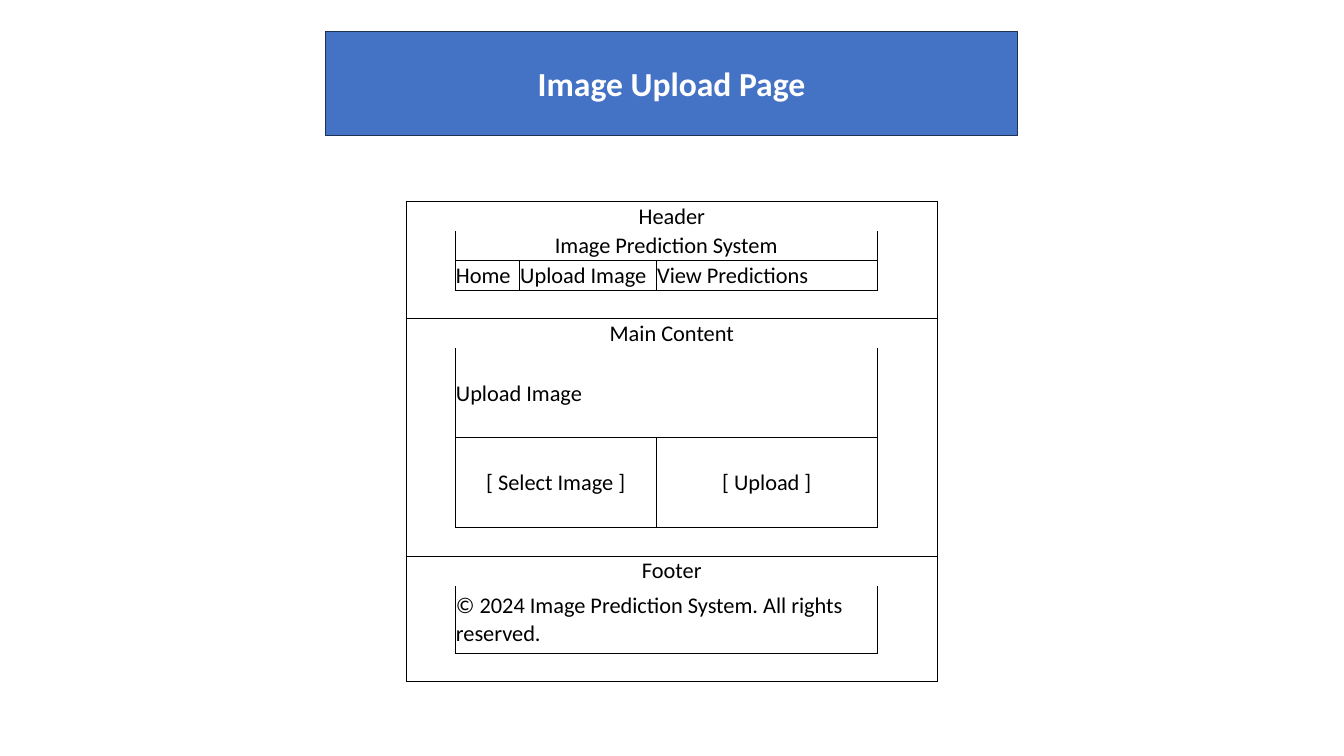
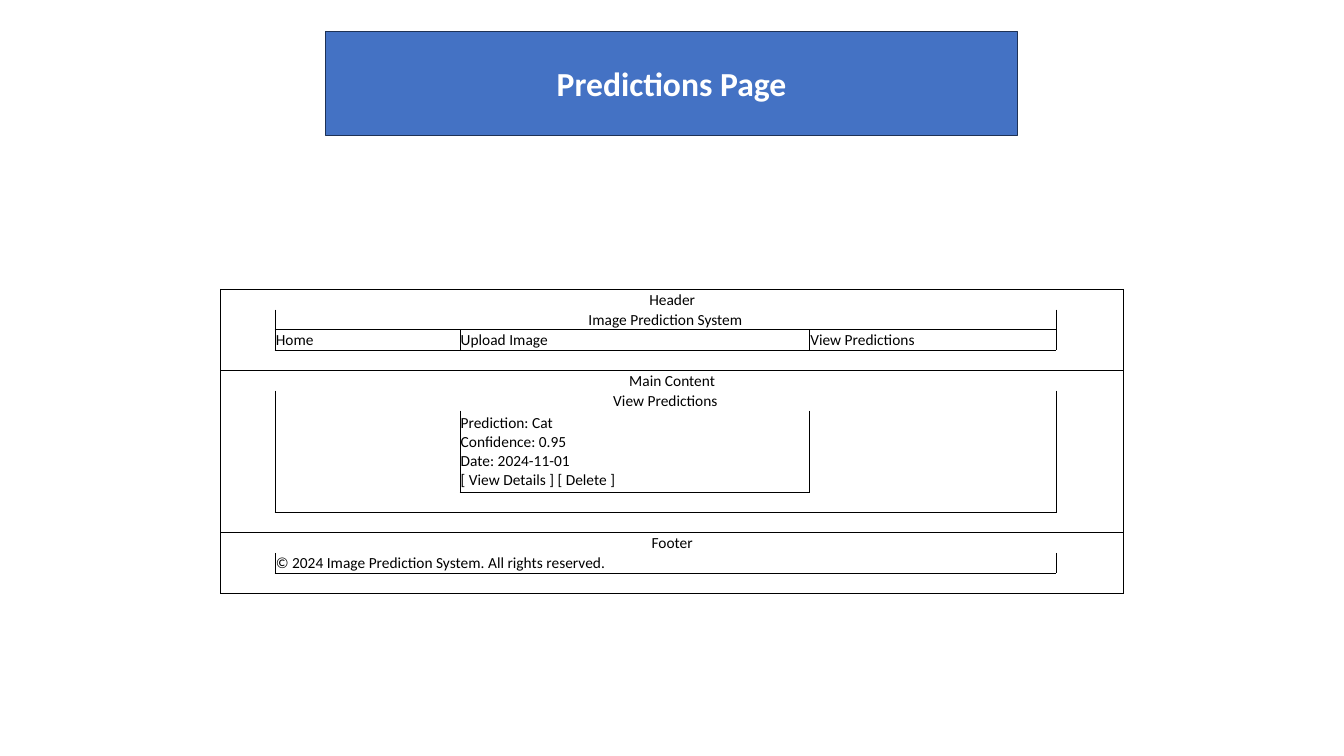
"""Build two wireframe slides: the image upload page and the predictions page."""
import pptx
import pptx.dml.color
import pptx.enum.shapes
import pptx.enum.text
import pptx.oxml
import pptx.oxml.ns
import pptx.util
from lxml import etree

Cm, Pt = pptx.util.Cm, pptx.util.Pt
RGBColor = pptx.dml.color.RGBColor
LEFT = pptx.enum.text.PP_ALIGN.LEFT
CENTER = pptx.enum.text.PP_ALIGN.CENTER
MIDDLE = pptx.enum.text.MSO_ANCHOR.MIDDLE

BLUE = RGBColor(0x44, 0x72, 0xC4)
NAVY = RGBColor(0x1E, 0x32, 0x56)
WHITE = RGBColor(0xFF, 0xFF, 0xFF)
BLACK = RGBColor(0x00, 0x00, 0x00)
FONT = "Calibri"

# Cells are (row, first column, last column, rows framed, alignment, text).
HEADER = [
    (0, 0, 4, 4, CENTER, "Header"),
    (1, 1, 3, 1, CENTER, "Image Prediction System"),
    (2, 1, 1, 1, LEFT, "Home"),
    (2, 2, 2, 1, LEFT, "Upload Image"),
    (2, 3, 3, 1, LEFT, "View Predictions"),
]
COPYRIGHT = "© 2024 Image Prediction System. All rights reserved."

PAGES = [
    {
        "title": "Image Upload Page",
        "corner": (10.23, 5.07),
        "size": 16,
        "widths": [1.24, 1.62, 3.45, 5.57, 1.52],
        "heights": [0.75, 0.75, 0.75, 0.71, 0.75, 2.25, 2.25, 0.73, 0.75, 1.7, 0.71],
        "main": [
            (4, 0, 4, 4, CENTER, "Main Content"),
            (5, 1, 3, 1, LEFT, "Upload Image"),
            (6, 1, 2, 1, CENTER, "[ Select Image ]"),
            (6, 3, 3, 1, CENTER, "[ Upload ]"),
        ],
    },
    {
        "title": "Predictions Page",
        "corner": (5.56, 7.29),
        "size": 11,
        "widths": [1.37, 4.66, 8.81, 6.21, 1.71],
        "heights": [0.51] * 6 + [2.05] + [0.51] * 5,
        "main": [
            (4, 0, 4, 5, CENTER, "Main Content"),
            (5, 1, 3, 3, CENTER, "View Predictions"),
            (6, 2, 2, 1, LEFT, "Prediction: Cat\nConfidence: 0.95\n"
                               "Date: 2024-11-01\n[ View Details ] [ Delete ]"),
        ],
    },
]


def style_text(text_frame, align, size, color, bold=False):
    """Format every paragraph and run of a text frame."""
    for paragraph in text_frame.paragraphs:
        paragraph.alignment = align
        for run in paragraph.runs:
            run.font.name, run.font.size = FONT, Pt(size)
            run.font.bold, run.font.color.rgb = bold, color


def add_banner(slide, title):
    """Add the blue title band."""
    banner = slide.shapes.add_shape(
        pptx.enum.shapes.MSO_SHAPE.RECTANGLE, Cm(8.2), Cm(0.79), Cm(17.45), Cm(2.62))
    banner.shadow.inherit = False
    banner.fill.solid()
    banner.fill.fore_color.rgb = BLUE
    banner.line.color.rgb = NAVY
    banner.line.width = Pt(1)
    banner.text_frame.text = title
    banner.text_frame.vertical_anchor = MIDDLE
    style_text(banner.text_frame, CENTER, 24, WHITE, True)


def frame_lines(cells):
    """Return the grid lines drawn around the framed cells."""
    lines = set()
    for row, first, last, depth, _, _ in cells:
        for column in range(first, last + 1):
            lines.add(("across", row + depth, column))
            if row == 0:
                lines.add(("across", row, column))
        for framed in range(row, row + depth):
            lines.update([("down", framed, first), ("down", framed, last + 1)])
    return lines


def set_border(cell, side, visible):
    """Draw or hide one side of a cell."""
    properties = cell._tc.get_or_add_tcPr()
    border = etree.SubElement(properties, pptx.oxml.ns.qn("a:ln" + side), w=str(Pt(0.5)))
    if visible:
        fill = etree.SubElement(border, pptx.oxml.ns.qn("a:solidFill"))
        etree.SubElement(fill, pptx.oxml.ns.qn("a:srgbClr"), val=str(BLACK))
    else:
        etree.SubElement(border, pptx.oxml.ns.qn("a:noFill"))


def add_wireframe(slide, page):
    """Add the page layout as a table with nested frames."""
    widths, heights, size = page["widths"], page["heights"], page["size"]
    footer = len(heights) - 3
    cells = HEADER + page["main"] + [
        (footer, 0, 4, 3, CENTER, "Footer"),
        (footer + 1, 1, 3, 1, LEFT, COPYRIGHT),
    ]
    left, top = page["corner"]
    table = slide.shapes.add_table(
        len(heights), len(widths), Cm(left), Cm(top),
        Cm(sum(widths)), Cm(sum(heights))).table
    table.first_row = table.horz_banding = False
    for column, width in zip(table.columns, widths):
        column.width = Cm(width)
    for row, height in zip(table.rows, heights):
        row.height = Cm(height)

    lines = frame_lines(cells)
    last_columns = {(row, first): last for row, first, last, *_ in cells}
    for row in range(len(heights)):
        for column in range(len(widths)):
            cell = table.cell(row, column)
            cell.margin_left = cell.margin_right = cell.margin_top = Cm(0.02)
            cell.margin_bottom = 0
            cell.vertical_anchor = MIDDLE
            right = last_columns.get((row, column), column) + 1
            for side, line in (
                ("L", ("down", row, column)),
                ("R", ("down", row, right)),
                ("T", ("across", row, column)),
                ("B", ("across", row + 1, column)),
            ):
                set_border(cell, side, line in lines)
            cell.fill.solid()
            cell.fill.fore_color.rgb = WHITE
            if (row, column) not in last_columns:
                paragraph = cell.text_frame.paragraphs[0]
                etree.SubElement(paragraph._p, pptx.oxml.ns.qn("a:endParaRPr"),
                                 sz=str(size * 100))

    for row, first, last, _, align, text in cells:
        cell = table.cell(row, first)
        if last > first:
            cell.merge(table.cell(row, last))
        cell.text_frame.text = text
        style_text(cell.text_frame, align, size, BLACK)


def main():
    """Build and save the presentation."""
    presentation = pptx.Presentation()
    presentation.slide_width, presentation.slide_height = Cm(33.87), Cm(19.05)
    for page in PAGES:
        slide = presentation.slides.add_slide(presentation.slide_layouts[6])
        add_banner(slide, page["title"])
        add_wireframe(slide, page)
    presentation.save("out.pptx")


if __name__ == "__main__":
    main()
